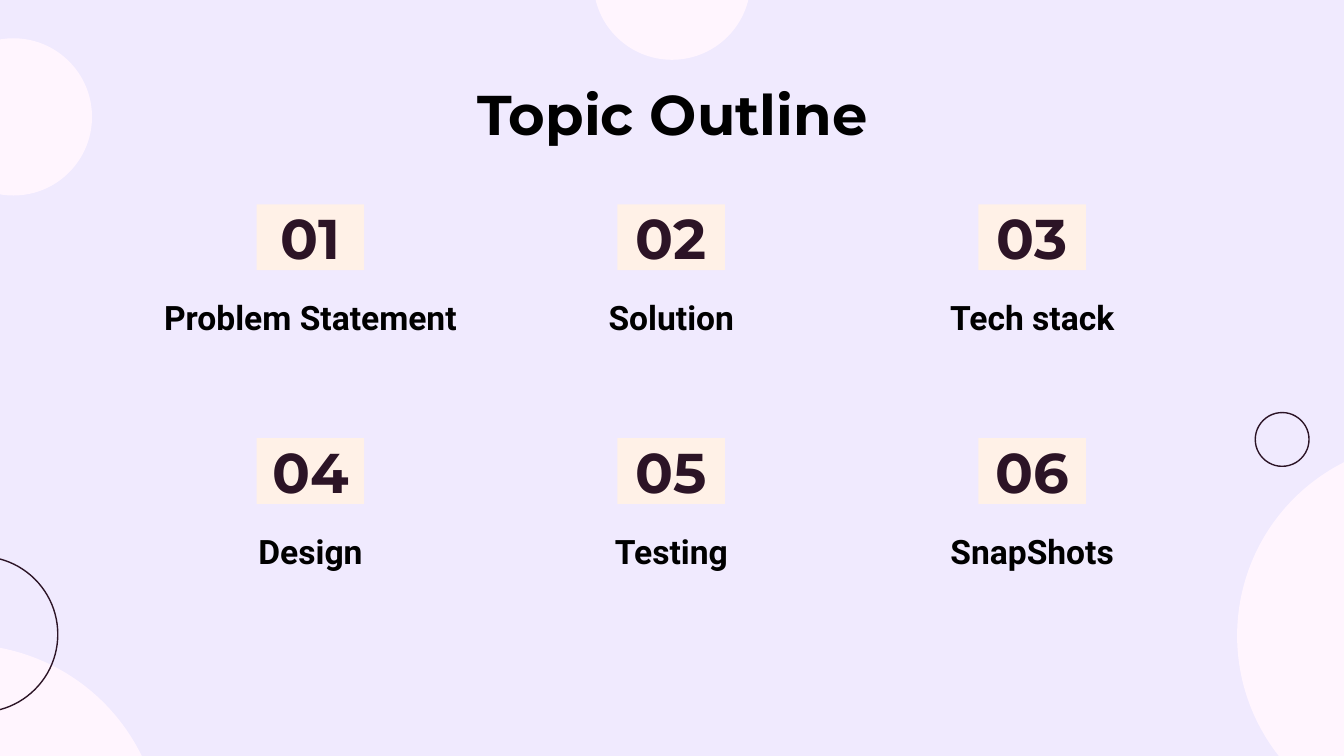
"""Build the topic outline slide: six numbered topics among decorative circles."""
from typing import NamedTuple, Optional

from pptx import Presentation
from pptx.dml.color import RGBColor
from pptx.enum.shapes import MSO_SHAPE as Preset
from pptx.enum.text import MSO_ANCHOR as Anchor, PP_ALIGN as Align
from pptx.util import Inches, Pt

COLORS = {
    "background": "F0EAFE",
    "blush": "FFF5FE",
    "plum": "2C1426",
    "peach": "FFF1E7",
    "black": "000000",
}


class Circle(NamedTuple):
    left: float
    top: float
    diameter: float
    outline: str
    fill: Optional[str] = None


class TextStyle(NamedTuple):
    font: str
    size: int
    color: str
    anchor: Anchor = Anchor.TOP


CIRCLES = [
    Circle(-1.75, 4.8, 2.95, "blush", "blush"),
    Circle(9.21, 3.29, 2.88, "blush", "blush"),
    Circle(-0.48, 0.29, 1.16, "blush", "blush"),
    Circle(4.42, -0.72, 1.16, "blush", "blush"),
    Circle(-0.73, 4.14, 1.16, "plum"),
    Circle(9.34, 3.07, 0.4, "plum"),
]
TOPICS = ["Problem Statement", "Solution", "Tech stack", "Design", "Testing", "SnapShots"]

TITLE = TextStyle("Montserrat", 30, "black")
NUMBER = TextStyle("Montserrat", 30, "plum", Anchor.MIDDLE)
TOPIC = TextStyle("Roboto", 18, "black")

COLUMNS = 3
FIRST_CENTER, LAST_CENTER = 2.31, 7.68
COLUMN_PITCH = (LAST_CENTER - FIRST_CENTER) / (COLUMNS - 1)
FIRST_TOP, ROW_PITCH = 1.52, 1.74
NUMBER_WIDTH, TOPIC_WIDTH, ROW_HEIGHT = 0.8, 2.52, 0.49
TOPIC_OFFSET = 0.59


def color(name: str) -> RGBColor:
    """Return the named palette colour."""
    return RGBColor.from_string(COLORS[name])


def draw_circle(slide, circle: Circle) -> None:
    """Draw one decorative circle, filled or outlined."""
    diameter = Inches(circle.diameter)
    disc = slide.shapes.add_shape(
        Preset.OVAL, Inches(circle.left), Inches(circle.top), diameter, diameter
    )
    disc.shadow.inherit = False
    disc.line.color.rgb = color(circle.outline)
    disc.line.width = Pt(0.75)
    if circle.fill:
        disc.fill.solid()
        disc.fill.fore_color.rgb = color(circle.fill)
    else:
        disc.fill.background()


def write(holder, text: str, style: TextStyle) -> None:
    """Put one centred bold line of text into a shape or text box."""
    frame = holder.text_frame
    frame.text = text
    frame.word_wrap = True
    frame.vertical_anchor = style.anchor
    frame.margin_left = frame.margin_right = Inches(0.1)
    frame.margin_top = frame.margin_bottom = Inches(0.1)
    paragraph = frame.paragraphs[0]
    paragraph.alignment = Align.CENTER
    font = paragraph.runs[0].font
    font.name, font.size, font.bold = style.font, Pt(style.size), True
    font.color.rgb = color(style.color)


def draw_topic(slide, index: int, topic: str) -> None:
    """Draw a number tile with its topic below, placed on the grid."""
    row, column = divmod(index, COLUMNS)
    center = FIRST_CENTER + column * COLUMN_PITCH
    top = FIRST_TOP + row * ROW_PITCH
    tile = slide.shapes.add_shape(
        Preset.RECTANGLE, Inches(center - NUMBER_WIDTH / 2), Inches(top),
        Inches(NUMBER_WIDTH), Inches(ROW_HEIGHT),
    )
    tile.shadow.inherit = False
    tile.fill.solid()
    tile.fill.fore_color.rgb = color("peach")
    tile.line.fill.background()
    write(tile, f"{index + 1:02d}", NUMBER)
    label = slide.shapes.add_textbox(
        Inches(center - TOPIC_WIDTH / 2), Inches(top + TOPIC_OFFSET),
        Inches(TOPIC_WIDTH), Inches(ROW_HEIGHT),
    )
    write(label, topic, TOPIC)


def main() -> None:
    """Assemble and save the slide."""
    deck = Presentation()
    deck.slide_width = Inches(10)
    deck.slide_height = Inches(10 * 9 / 16)
    slide = deck.slides.add_slide(deck.slide_layouts[6])
    slide.background.fill.solid()
    slide.background.fill.fore_color.rgb = color("background")
    for circle in CIRCLES:
        draw_circle(slide, circle)
    title = slide.shapes.add_textbox(Inches(0.79), Inches(0.49), Inches(8.43), Inches(0.63))
    write(title, "Topic Outline", TITLE)
    for index, topic in enumerate(TOPICS):
        draw_topic(slide, index, topic)
    deck.save("out.pptx")


if __name__ == "__main__":
    main()
